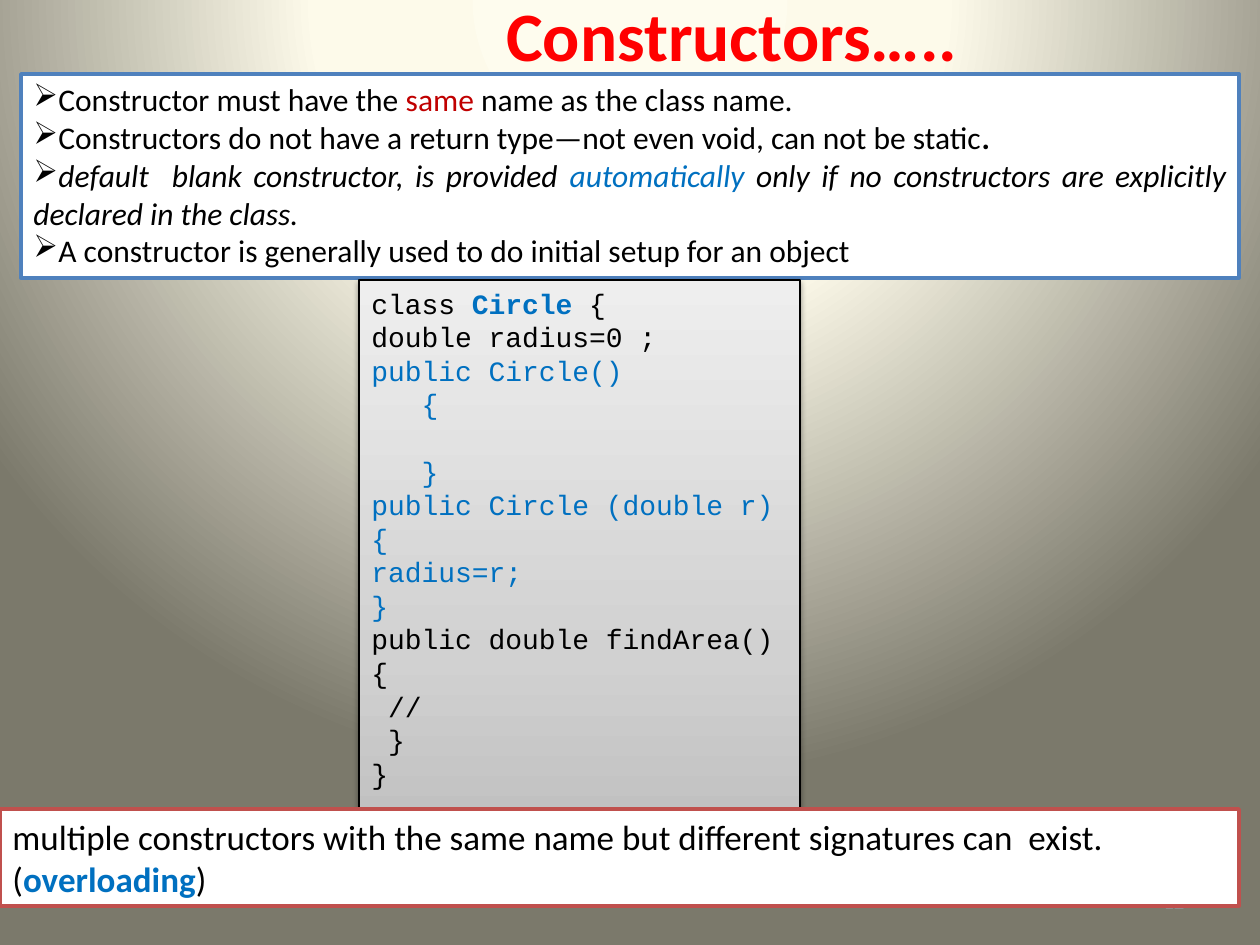
"""Build the slide on Java constructors: rules, a sample class and a note."""
from lxml import etree
from pptx import Presentation
from pptx.dml.color import RGBColor
from pptx.enum.shapes import MSO_SHAPE as Shape
from pptx.enum.text import MSO_ANCHOR as Anchor, PP_ALIGN as Align
from pptx.oxml import parse_xml
from pptx.oxml.ns import nsdecls, qn
from pptx.util import Pt

PX = 914400 / 126
BLACK, WHITE, RED, CRIMSON, BLUE, GREY = "000000", "FFFFFF", "FF0000", "C00000", "0070C0", "8C8C8C"
SANS, MONO = "Calibri", "Courier New"

BACKDROP = [(0, "FEFCEE"), (40, "FDFAEA"), (100, "7B796B")]
GLOW = '<a:path path="circle"><a:fillToRect l="50000" t="-80000" r="50000" b="180000"/></a:path>'
SILVER = [(0, "BDBDBD"), (35, "D1D1D1"), (100, "EEEEEE")]
UPWARD = '<a:lin ang="16200000" scaled="0"/>'
SHADOW = ('<a:outerShdw {} blurRad="40000" dist="20000" dir="5400000" rotWithShape="0">'
          '<a:srgbClr val="000000"><a:alpha val="38000"/></a:srgbClr></a:outerShdw>')

TITLE = [[("Constructors…..", RED, "b")]]
NUMBER = [[("12", GREY, "")]]
RULES = [
    [("Constructor must have the ", BLACK, ""), ("same", CRIMSON, ""),
     (" name as the class name.", BLACK, "")],
    [("Constructors do not have a return type—not even void, can not be static", BLACK, ""),
     (".", BLACK, "b")],
    [("default  blank constructor, is provided ", BLACK, "i"), ("automatically", BLUE, "i"),
     (" only if no constructors are explicitly declared in the class.", BLACK, "i")],
    [("A constructor is generally used to do initial setup for an object", BLACK, "")],
]
CONSTRUCTORS = ["public Circle()", "   {", "    ", "   }",
                "public Circle (double r)", "{", "radius=r;", "}"]
METHOD = ["public double findArea()", "{", " //", " }", "}"]
CODE = [
    [("class ", BLACK, ""), ("Circle", BLUE, "b"), (" {", BLACK, "")],
    [("double radius=0 ;", BLACK, "")],
    *[[(line, BLUE, "")] for line in CONSTRUCTORS],
    *[[(line, BLACK, "")] for line in METHOD],
]
NOTE = [[("multiple constructors with the same name but different signatures can  exist.(", BLACK, ""),
         ("overloading", BLUE, "b"), (")", BLACK, "")]]


def px(value):
    return round(value * PX)


def colour(value):
    return RGBColor.from_string(value)


def gradient(stops, direction):
    marks = "".join(f'<a:gs pos="{pos * 1000}"><a:srgbClr val="{tone}"/></a:gs>' for pos, tone in stops)
    return f'<a:gradFill {nsdecls("a")} rotWithShape="1"><a:gsLst>{marks}</a:gsLst>{direction}</a:gradFill>'


def write(shape, paragraphs, size, font=SANS, align=Align.LEFT, anchor=Anchor.TOP, bullet=None):
    frame = shape.text_frame
    frame.word_wrap = True
    frame.vertical_anchor = anchor
    for index, runs in enumerate(paragraphs):
        para = frame.add_paragraph() if index else frame.paragraphs[0]
        para.alignment = align
        if bullet:
            etree.SubElement(para._p.get_or_add_pPr(), qn("a:buChar")).set("char", bullet)
        para.font.size, para.font.name = Pt(size), font
        for text, tone, style in runs:
            span = para.add_run()
            span.text = text
            span.font.size, span.font.name = Pt(size), font
            span.font.color.rgb = colour(tone)
            span.font.bold, span.font.italic = style == "b", style == "i"


def add_text(page, place, paragraphs, size, **options):
    box = page.shapes.add_textbox(*map(px, place))
    write(box, paragraphs, size, anchor=Anchor.MIDDLE, **options)


def add_panel(page, place, edge, width, paragraphs, size, **options):
    panel = page.shapes.add_shape(Shape.RECTANGLE, *map(px, place))
    panel.shadow.inherit = False
    panel.fill.solid()
    panel.fill.fore_color.rgb = colour(WHITE)
    panel.line.color.rgb = colour(edge)
    panel.line.width = Pt(width)
    write(panel, paragraphs, size, **options)
    return panel


def main():
    deck = Presentation()
    deck.slide_width, deck.slide_height = px(1260), px(945)
    page = deck.slides.add_slide(deck.slide_layouts[6])
    page.background.fill.solid()
    backdrop = page._element.find(".//" + qn("p:bgPr"))
    backdrop.replace(backdrop[0], parse_xml(gradient(BACKDROP, GLOW)))

    add_text(page, (393, 0, 678, 67), TITLE, 39.6, align=Align.CENTER)
    add_text(page, (903, 876, 294, 50), NUMBER, 12, align=Align.RIGHT)
    add_panel(page, (21, 74, 1218, 204), "4F81BD", 2, RULES, 18, align=Align.JUSTIFY, bullet="➢")
    code = add_panel(page, (359, 280, 441, 577), BLACK, 0.75, CODE, 16, font=MONO)
    look = code._element.spPr
    look.replace(look.find(qn("a:solidFill")), parse_xml(gradient(SILVER, UPWARD)))
    look.find(qn("a:effectLst")).append(parse_xml(SHADOW.format(nsdecls("a"))))
    add_panel(page, (0, 809, 1239, 97), "C0504D", 2, NOTE, 20)
    deck.save("out.pptx")


if __name__ == "__main__":
    main()
